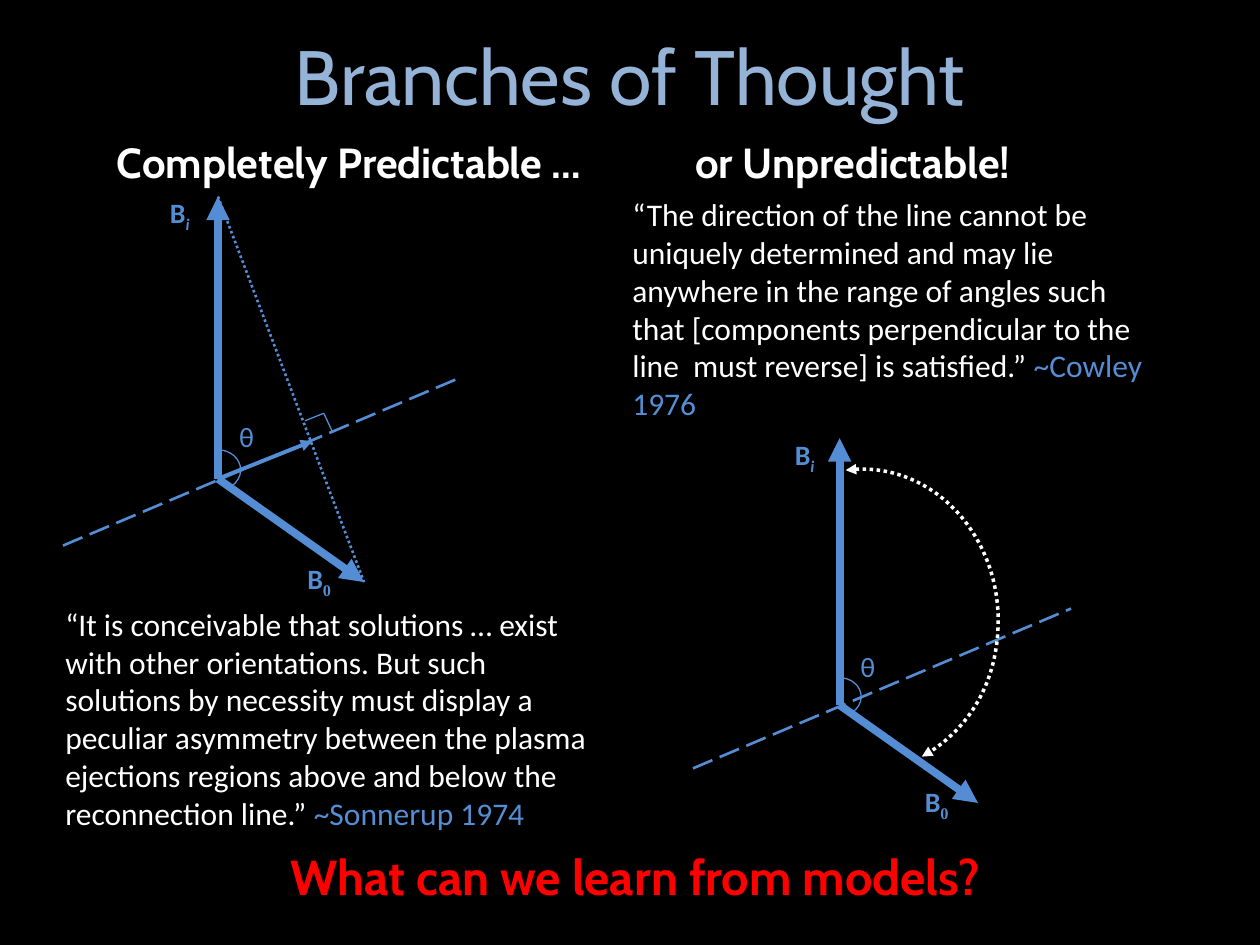
import math
from dataclasses import dataclass

import pptx
import pptx.dml.color
import pptx.enum.dml
import pptx.enum.shapes
import pptx.enum.text
import pptx.oxml.ns
import pptx.util
from lxml import etree

PX = 9144  # EMU in one px, 100 px to the inch
DASH = pptx.enum.dml.MSO_LINE
ANCHOR = pptx.enum.text.MSO_ANCHOR
ALIGN = pptx.enum.text.PP_ALIGN
qn = pptx.oxml.ns.qn


@dataclass(frozen=True)
class Theme:
    black: str = "000000"
    white: str = "FFFFFF"
    title: str = "95B3D7"
    vector: str = "548DD4"
    source: str = "558ED5"
    alert: str = "FF0000"
    head_font: str = "Cabin"
    body_font: str = "Calibri"
    zero_font: str = "Times New Roman"
    title_pt: int = 44
    closing_pt: int = 28
    heading_pt: int = 24
    quote_pt: int = 18
    label_pt: int = 16


T = Theme()


def rgb(code):
    return pptx.dml.color.RGBColor.from_string(code)


def set_font(font, name, size, color, bold=False):
    font.name, font.size, font.bold = name, pptx.util.Pt(size), bold
    font.color.rgb = rgb(color)


def add_text(s, box, text, size, color, name=T.head_font, bold=False,
             align=ALIGN.LEFT, anchor=ANCHOR.TOP):
    tf = s.shapes.add_textbox(*(v * PX for v in box)).text_frame
    tf.word_wrap, tf.vertical_anchor = True, anchor
    p = tf.paragraphs[0]
    p.alignment = align
    set_font(p.font, name, size, color, bold)
    p.add_run().text = text
    return p


def add_quote(s, box, text, source):
    p = add_text(s, box, text, T.quote_pt, T.white, T.body_font)
    r = p.add_run()
    r.text = source
    r.font.color.rgb = rgb(T.source)


def style_line(shape, width, color=T.vector, dash=None, ends=()):
    """Style an outline; ends lists headEnd and tailEnd where arrows go."""
    shape.line.color.rgb = rgb(color)
    shape.line.width = pptx.util.Pt(width)
    if dash:
        shape.line.dash_style = dash
    ln = shape.line._get_or_add_ln()
    for end in ends:
        etree.SubElement(ln, qn("a:" + end), type="triangle")


def arc_controls(start, end):
    """Yield Bezier points of a unit arc, split at quarter turns."""
    stops = [start, *(a for a in range(-90, 91, 90) if start < a < end), end]
    for a, b in zip(stops, stops[1:]):
        a, b = math.radians(a), math.radians(b)
        k = 4 / 3 * math.tan((b - a) / 4)
        yield math.cos(a) - k * math.sin(a), math.sin(a) + k * math.cos(a)
        yield math.cos(b) + k * math.sin(b), math.sin(b) - k * math.cos(b)
        yield math.cos(b), math.sin(b)


def lines_to_curves(sp):
    """Turn each three line segments of a freeform into one cubic curve."""
    segments = list(sp._element.iter(qn("a:lnTo")))
    for i in range(0, len(segments), 3):
        curve = etree.Element(qn("a:cubicBezTo"))
        segments[i].addprevious(curve)
        for segment in segments[i:i + 3]:
            curve.append(segment[0])
            segment.getparent().remove(segment)


class Diagram:
    """A group drawn on a 317 px wide grid, scaled to the width given."""

    def __init__(self, s, left, top, width):
        self.shapes = s.shapes.add_group_shape().shapes
        self.left, self.top, self.scale = left, top, width / 317

    def size(self, v):
        return round(v * self.scale * PX)

    def point(self, x, y):
        return self.left * PX + self.size(x), self.top * PX + self.size(y)

    def line(self, start, end, width, dash=None, arrow=False):
        c = self.shapes.add_connector(
            pptx.enum.shapes.MSO_CONNECTOR.STRAIGHT,
            *self.point(*start), *self.point(*end))
        style_line(c, width, dash=dash, ends=("tailEnd",) if arrow else ())
        etree.SubElement(c._element.spPr, qn("a:effectLst"))

    def arc(self, center, rx, ry, start, end, width, **style):
        """Draw an elliptic arc; angles in degrees, clockwise from the right."""
        first = math.cos(math.radians(start)), math.sin(math.radians(start))
        points = [self.point(center[0] + rx * x, center[1] + ry * y)
                  for x, y in (first, *arc_controls(start, end))]
        builder = self.shapes.build_freeform(*points[0])
        builder.add_line_segments(points[1:], close=False)
        sp = builder.convert_to_shape()
        lines_to_curves(sp)
        sp.shadow.inherit = False
        sp.fill.background()
        style_line(sp, width, **style)

    def label(self, x, y, w, h, text, sub="", bold=True, italic=False, sub_font=T.body_font):
        sp = self.shapes.add_shape(
            pptx.enum.shapes.MSO_SHAPE.RECTANGLE,
            *self.point(x, y), self.size(w), self.size(h))
        sp.shadow.inherit = False
        sp.fill.solid()
        sp.fill.fore_color.rgb = rgb(T.black)
        sp.line.fill.background()
        tf = sp.text_frame
        tf.vertical_anchor = ANCHOR.TOP
        p = tf.paragraphs[0]
        p.alignment, p.space_after = ALIGN.LEFT, pptx.util.Pt(10)
        set_font(p.font, T.body_font, T.label_pt, T.vector, bold)
        p.add_run().text = text
        if sub:
            r = p.add_run()
            r.text, r.font.name, r.font.italic = sub, sub_font, italic
            r.font._element.set("baseline", "-25000")


ORIGIN, TIP_I, TIP_0 = (123, 230), (123, 6), (239, 312)


def add_field_diagram(s, left, top, width):
    """Draw the two field vectors, the dashed line and the angle."""
    d = Diagram(s, left, top, width)
    d.label(75, 0, 48, 52, "B", "i", italic=True)
    d.label(184, 291, 48, 52, "B", "0", sub_font=T.zero_font)
    d.label(130, 178, 36, 39, "θ", bold=False)
    for tip in (TIP_I, TIP_0):
        d.line(ORIGIN, tip, 4.5, arrow=True)
    d.line((0, 283), (317, 149), 1.5, DASH.LONG_DASH)
    d.arc((123, 223), 18, 16, -90, 54, 0.75)
    return d


def add_predictable(s, left, top, width):
    d = add_field_diagram(s, left, top, width)
    d.line(TIP_I, TIP_0, 1.5, DASH.ROUND_DOT)
    corner = [(192, 184), (207, 178), (214, 193)]
    for start, end in zip(corner, corner[1:]):
        d.line(start, end, 0.75)
    d.line(ORIGIN, (198, 200), 2.25, arrow=True)


def add_unpredictable(s, left, top, width):
    d = add_field_diagram(s, left, top, width)
    d.arc((142, 159), 114, 127, -97, 64, 2, color=T.white,
          dash=DASH.ROUND_DOT, ends=("headEnd", "tailEnd"))


def main():
    prs = pptx.Presentation()
    prs.slide_width, prs.slide_height = 1000 * PX, 750 * PX
    s = prs.slides.add_slide(prs.slide_layouts[6])
    s.background.fill.solid()
    s.background.fill.fore_color.rgb = rgb(T.black)

    add_text(s, (50, 16, 900, 87), "Branches of Thought", T.title_pt, T.title,
             align=ALIGN.CENTER, anchor=ANCHOR.MIDDLE)
    for left, heading in ((83, "Completely Predictable …"), (542, "or Unpredictable!")):
        add_text(s, (left, 91, 409, 62), heading, T.heading_pt, T.white,
                 bold=True, anchor=ANCHOR.BOTTOM)
    add_text(s, (58, 667, 892, 57), "What can we learn from models?",
             T.closing_pt, T.alert, bold=True, align=ALIGN.CENTER)

    add_predictable(s, 50, 150, 317)
    add_quote(s, (42, 475, 442, 192),
              "“It is conceivable that solutions … exist with other orientations. "
              "But such solutions by necessity must display a peculiar asymmetry "
              "between the plasma ejections regions above and below the "
              "reconnection line.” ", "~Sonnerup 1974")
    add_unpredictable(s, 550, 342, 300)
    add_quote(s, (492, 150, 442, 192),
              "“The direction of the line cannot be uniquely determined and may "
              "lie anywhere in the range of angles such that [components "
              "perpendicular to the line  must reverse] is satisfied.” ",
              "~Cowley 1976")
    prs.save("out.pptx")


if __name__ == "__main__":
    main()
